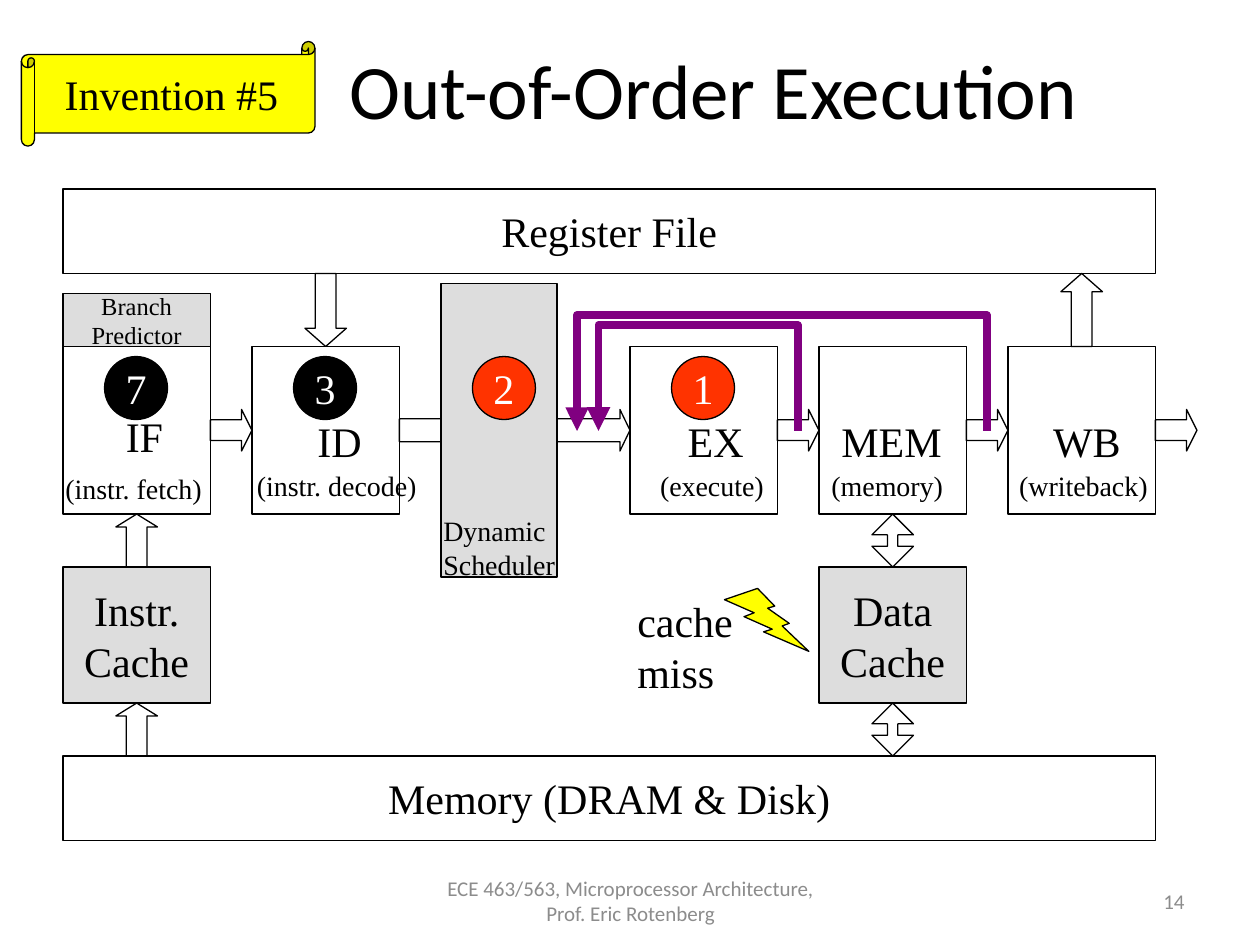
from copy import deepcopy
from pptx import Presentation
from pptx.dml.color import RGBColor
from pptx.enum.shapes import MSO_SHAPE as Shape
from pptx.enum.text import MSO_ANCHOR as Anchor, MSO_AUTO_SIZE as AutoSize, PP_ALIGN as Align
from pptx.oxml.ns import qn
from pptx.oxml.xmlchemy import OxmlElement
from pptx.util import Inches, Pt

presentation = Presentation()
presentation.slide_width, presentation.slide_height = Inches(10), Inches(7.5)
slide = presentation.slides.add_slide(presentation.slide_layouts[6])


def write(text, box=None, shape=None, size=24, font="Times New Roman", color="000000",
          align=Align.LEFT, anchor=Anchor.TOP, wrap=False):
    if shape is None:
        shape = slide.shapes.add_textbox(*map(Inches, box))
    frame = shape.text_frame
    frame.word_wrap = wrap
    frame.vertical_anchor = anchor
    if anchor == Anchor.TOP:
        frame.auto_size = AutoSize.SHAPE_TO_FIT_TEXT
    paragraph = frame.paragraphs[0]
    paragraph.text = text
    paragraph.alignment = align
    for run in paragraph.runs:
        run.font.size = Pt(size)
        run.font.name = font
        run.font.color.rgb = RGBColor.from_string(color)
    for line_break in paragraph._p.findall(qn("a:br")):
        line_break.append(deepcopy(paragraph.runs[0]._r.rPr))


def draw(kind, box, fill=None, text=None, adjust=(), **style):
    shape = slide.shapes.add_shape(kind, *map(Inches, box))
    shape.shadow.inherit = False
    for index, value in enumerate(adjust):
        shape.adjustments[index] = value
    if fill:
        shape.fill.solid()
        shape.fill.fore_color.rgb = RGBColor.from_string(fill)
    else:
        shape.fill.background()
    shape.line.color.rgb = RGBColor.from_string("000000")
    shape.line.width = Pt(0.75)
    if text:
        write(text, shape=shape, align=Align.CENTER, anchor=Anchor.MIDDLE, **style)


write("Out-of-Order Execution", (2.08, 0.08, 7.17, 1.25), size=44, font="Calibri",
      align=Align.CENTER, anchor=Anchor.MIDDLE, wrap=True)

for top, text in ((1.5, "Register File"), (6, "Memory (DRAM & Disk)")):
    draw(Shape.RECTANGLE, (0.5, top, 8.67, 0.67), text=text)

stages = [
    (0.5, "IF", (0.9, 3.21, 0.5), "(instr. fetch)", (0.42, 3.69, 1.31)),
    (2, "ID", (2.42, 3.25, 0.55), "(instr. decode)", (1.94, 3.67, 1.49)),
    (5, "EX", (5.36, 3.25, 0.65), "(execute)", (5.14, 3.67, 1.03)),
    (6.5, "MEM", (6.58, 3.25, 1), "(memory)", (6.5, 3.67, 1.09)),
    (8, "WB", (8.26, 3.25, 0.74), "(writeback)", (7.99, 3.67, 1.23)),
]
for left, name, name_box, detail, detail_box in stages:
    draw(Shape.RECTANGLE, (left, 2.75, 1.17, 1.33))
    write(name, (*name_box, 0.5))
    write(detail, (*detail_box, 0.37), size=16)
    width, adjust = (1.83, (0.55, 0.24)) if name == "ID" else (0.33, (0.5, 0.25))
    draw(Shape.RIGHT_ARROW, (left + 1.17, 3.25, width, 0.33), adjust=adjust)

for kind, left in ((Shape.DOWN_ARROW, 2.42), (Shape.UP_ARROW, 8.42)):
    draw(kind, (left, 2.17, 0.33, 0.58), adjust=(0.5, 0.44))

for start, top, end in ((6.33, 2.58, 4.75), (7.83, 2.5, 4.58)):
    builder = slide.shapes.build_freeform(Inches(start), Inches(3.42))
    corners = ((start, top), (end, top), (end, 3.42))
    builder.add_line_segments([(Inches(x), Inches(y)) for x, y in corners], close=False)
    bypass = builder.convert_to_shape()
    bypass.shadow.inherit = False
    bypass.fill.background()
    bypass.line.color.rgb = RGBColor.from_string("800080")
    bypass.line.width = Pt(4.5)
    arrowhead = OxmlElement("a:tailEnd")
    arrowhead.set("type", "triangle")
    bypass.line._get_or_add_ln().append(arrowhead)

draw(Shape.RECTANGLE, (0.5, 2.33, 1.17, 0.42), "DDDDDD", "Branch\nPredictor", size=14)

caches = [
    (0.5, "Instr.\nCache", Shape.UP_ARROW, 0.31),
    (6.5, "Data\nCache", Shape.UP_DOWN_ARROW, 0.25),
]
for left, text, arrow, head in caches:
    draw(Shape.RECTANGLE, (left, 4.5, 1.17, 1.08), "DDDDDD", text)
    for top in (4.08, 5.58):
        draw(arrow, (left + 0.42, top, 0.33, 0.42), adjust=(0.5, head))

draw(Shape.LIGHTNING_BOLT, (5.75, 4.67, 0.67, 0.5), "FFFF00")
write("cache\nmiss", (4.96, 4.68, 0.96, 0.9))
draw(Shape.HORIZONTAL_SCROLL, (0.17, 0.33, 2.33, 0.83), "FFFF00", "Invention #5", adjust=(0.125,))

draw(Shape.RECTANGLE, (3.5, 2.25, 0.92, 2.33), "DDDDDD")
write("Dynamic\nScheduler", (3.42, 4.03, 1.09, 0.64), size=16)

for left, number, fill in ((5.33, "1", "FF3300"), (3.75, "2", "FF3300"),
                           (2.33, "3", "000000"), (0.83, "7", "000000")):
    draw(Shape.OVAL, (left, 2.83, 0.5, 0.5), fill, number, color="FFFFFF")

footers = [
    ("ECE 463/563, Microprocessor Architecture, Prof. Eric Rotenberg", 3.42, 3.17, Align.CENTER),
    ("14", 7.17, 2.33, Align.RIGHT),
]
for text, left, width, align in footers:
    write(text, (left, 6.95, width, 0.4), size=12, font="Calibri", color="8C8C8C",
          align=align, anchor=Anchor.MIDDLE, wrap=True)

presentation.save("out.pptx")
